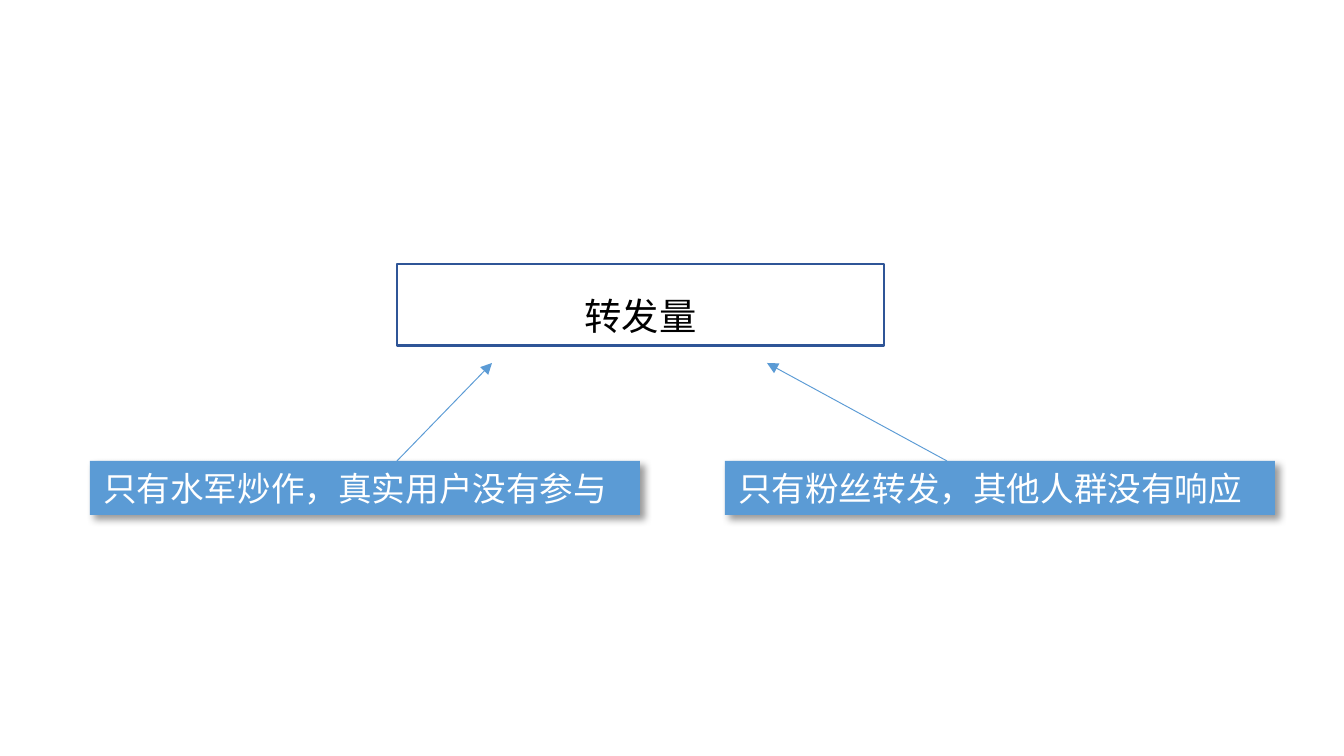
from lxml.etree import SubElement
from pptx import Presentation
from pptx.dml.color import RGBColor
from pptx.enum.shapes import MSO_CONNECTOR as Link
from pptx.enum.text import MSO_AUTO_SIZE as Fit, PP_ALIGN as Align
from pptx.oxml.ns import qn
from pptx.util import Pt

PX = 914400 / 134.4
FONT = "Noto Sans CJK SC"
BLUE, NAVY = "5B9BD5", "2F5597"
WHITE, BLACK = "FFFFFF", "000000"


def px(*vals):
    return [round(v * PX) for v in vals]


def paint(color, code):
    color.rgb = RGBColor.from_string(code)


def add_box(slide, place, text, size, code):
    box = slide.shapes.add_textbox(*px(*place))
    frame = box.text_frame
    frame.word_wrap = True
    frame.auto_size = Fit.SHAPE_TO_FIT_TEXT
    frame.text = text
    para = frame.paragraphs[0]
    font = para.font
    font.size, font.name = Pt(size), FONT
    paint(font.color, code)
    # East Asian text takes its own typeface
    props = para._p.pPr.find(qn("a:defRPr"))
    SubElement(props, qn("a:ea"), typeface=FONT)
    return box


def add_shade(box):
    group = SubElement(box._element.spPr, qn("a:effectLst"))
    shade = SubElement(group, qn("a:outerShdw"), blurRad=str(Pt(4)),
                       dist=str(Pt(3)), dir="2700000", algn="tl",
                       rotWithShape="0")
    color = SubElement(shade, qn("a:srgbClr"), val=BLACK)
    SubElement(color, qn("a:alpha"), val="40000")


def add_topic(slide, place, text):
    box = add_box(slide, place, text, 20, BLACK)
    para = box.text_frame.paragraphs[0]
    para.alignment = Align.CENTER
    para.line_spacing = 1.5
    paint(box.line.color, NAVY)
    box.line.width = Pt(1.5)


def add_cause(slide, left, text):
    box = add_box(slide, (left, 461, 550, 54), text, 18, WHITE)
    box.fill.solid()
    paint(box.fill.fore_color, BLUE)
    add_shade(box)


def add_arrow(slide, start, end):
    arrow = slide.shapes.add_connector(Link.STRAIGHT, *px(*start, *end))
    paint(arrow.line.color, BLUE)
    arrow.line.width = Pt(0.5)
    props = arrow._element.spPr
    SubElement(props.find(qn("a:ln")), qn("a:tailEnd"), type="triangle")
    SubElement(props, qn("a:effectLst"))


def main():
    deck = Presentation()
    deck.slide_width, deck.slide_height = px(1344, 756)
    slide = deck.slides.add_slide(deck.slide_layouts[6])

    # Topic
    add_topic(slide, (397, 264, 487, 82), "转发量")

    # Causes
    add_cause(slide, 725, "只有粉丝转发，其他人群没有响应")
    add_cause(slide, 90, "只有水军炒作，真实用户没有参与")

    # Arrows from the causes to the topic
    add_arrow(slide, (397, 461), (492, 363))
    add_arrow(slide, (947, 461), (767, 363))

    deck.save("out.pptx")


if __name__ == "__main__":
    main()
